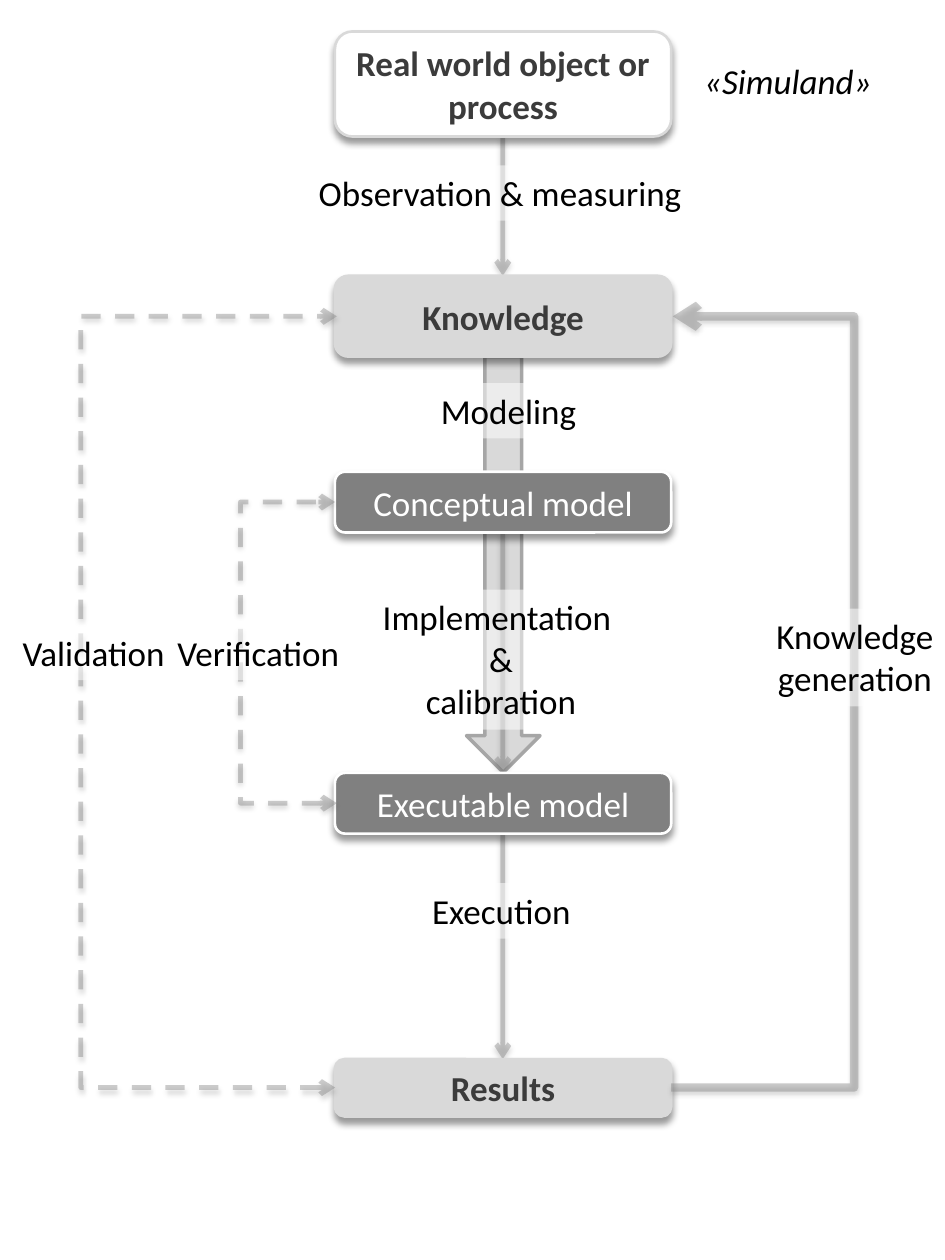
from lxml.etree import SubElement
from pptx import Presentation
from pptx.dml.color import RGBColor
from pptx.enum.dml import MSO_LINE
from pptx.enum.shapes import MSO_CONNECTOR, MSO_SHAPE
from pptx.enum.text import MSO_ANCHOR, MSO_AUTO_SIZE, PP_ALIGN
from pptx.oxml.ns import qn
from pptx.util import Pt

WHITE = RGBColor(0xFF, 0xFF, 0xFF)
BLACK = RGBColor(0, 0, 0)
INK = RGBColor(0x3B, 0x3B, 0x3B)
PALE = RGBColor(0xD9, 0xD9, 0xD9)
MIDDLE = RGBColor(0xA6, 0xA6, 0xA6)
DARK = RGBColor(0x80, 0x80, 0x80)

# Style: fill, outline, text colour, bold
STYLES = {
    "reality": (WHITE, PALE, INK, True),
    "state": (PALE, PALE, INK, True),
    "model": (DARK, WHITE, WHITE, False),
}
BOX_LEFT, BOX_WIDTH = 191.4, 192.2
AXIS = 287.3

# Text, style, top, height
BOXES = [
    ("Real world object or process", "reality", 18, 60),
    ("Knowledge", "state", 157.6, 46.2),
    ("Conceptual model", "model", 269.6, 34.7),
    ("Executable model", "model", 441.7, 34.7),
    ("Results", "state", 605.2, 32.8),
]

# Lines of text, left, top, width, alignment, italic
LABELS = [
    (["Observation & measuring"], 175, 94.5, 223.9, PP_ALIGN.LEFT, False),
    (["Modeling"], 244.8, 218.9, 92.9, PP_ALIGN.LEFT, False),
    (["Implementation ", "&", "calibration"], 211, 337, 150.5, PP_ALIGN.CENTER, False),
    (["Execution"], 239.8, 504.7, 94.3, PP_ALIGN.LEFT, False),
    (["Validation"], 5.8, 357.1, 96.5, PP_ALIGN.LEFT, False),
    (["Verification"], 94.3, 357.1, 108, PP_ALIGN.LEFT, False),
    (["Knowledge", "generation"], 437.1, 347.8, 102.9, PP_ALIGN.CENTER, False),
    (["«Simuland»"], 395.3, 30.2, 111.6, PP_ALIGN.LEFT, True),
]

# Top and bottom of each downward arrow
STEPS = [(78, 157.6), (304.3, 441.7), (476.5, 605.2)]

# Start, end, x of the upright part, line width, dashed with two heads
LOOPS = [
    ((191.5, 621.5), (192.5, 180.8), 45, 2.75, True),
    ((192.5, 459), (191.5, 286.9), 137, 2.75, True),
    ((383.5, 621.5), (384.5, 180.8), 488.9, 4.75, False),
]


def add_alpha(color, percent):
    """Make a colour element partly transparent."""
    SubElement(color, qn("a:alpha"), val=str(percent * 1000))


def add_shadow(shape, percent, blur, distance):
    """Give the shape a soft black shadow straight below it."""
    properties = shape._element.spPr
    effects = properties.find(qn("a:effectLst"))
    if effects is None:
        effects = SubElement(properties, qn("a:effectLst"))
    shadow = SubElement(effects, qn("a:outerShdw"), blurRad=str(Pt(blur)),
                        dist=str(Pt(distance)), dir="5400000", rotWithShape="0")
    add_alpha(SubElement(shadow, qn("a:srgbClr"), val="000000"), percent)


def write_text(frame, lines, color=BLACK, bold=False, italic=False,
               align=PP_ALIGN.CENTER, wrap=True, anchor=MSO_ANCHOR.MIDDLE):
    """Write one paragraph per line with a common format."""
    frame.word_wrap = wrap
    frame.vertical_anchor = anchor
    frame.text = "\n".join(lines)
    for paragraph in frame.paragraphs:
        paragraph.alignment = align
        for run in paragraph.runs:
            font = run.font
            font.name, font.size = "Calibri", Pt(20)
            font.bold, font.italic = bold, italic
            font.color.rgb = color


def add_block(slide, kind, left, top, width, height, fill, outline, weight):
    """Add a filled and outlined preset shape without a shadow."""
    block = slide.shapes.add_shape(kind, Pt(left), Pt(top), Pt(width), Pt(height))
    block.shadow.inherit = False
    block.fill.solid()
    block.fill.fore_color.rgb = fill
    block.line.color.rgb = outline
    block.line.width = Pt(weight)
    return block


def add_arrow(slide, kind, start, end, weight=2.75, dashed=False):
    """Add a translucent connector with an open head at its end."""
    arrow = slide.shapes.add_connector(kind, *(Pt(v) for v in (*start, *end)))
    arrow.line.color.rgb = DARK
    arrow.line.width = Pt(weight)
    if dashed:
        arrow.line.dash_style = MSO_LINE.DASH
    outline = arrow.line._get_or_add_ln()
    add_alpha(outline.find(".//" + qn("a:srgbClr")), 40)
    for tag in ["a:headEnd", "a:tailEnd"] if dashed else ["a:tailEnd"]:
        SubElement(outline, qn(tag), type="arrow")
    add_shadow(arrow, 38, 3.1, 1.6)
    return arrow


def add_loop(slide, start, end, upright, weight, dashed):
    """Add an elbow arrow whose upright part lies at a given x."""
    loop = add_arrow(slide, MSO_CONNECTOR.ELBOW, start, end, weight, dashed)
    bend = round((upright - start[0]) / (end[0] - start[0]) * 100000)
    guides = loop._element.spPr.find(qn("a:prstGeom")).find(qn("a:avLst"))
    SubElement(guides, qn("a:gd"), name="adj1", fmla=f"val {bend}")


def add_box(slide, text, style, top, height):
    """Add a rounded stage of the simulation process."""
    fill, outline, color, bold = STYLES[style]
    box = add_block(slide, MSO_SHAPE.ROUNDED_RECTANGLE, BOX_LEFT, top,
                    BOX_WIDTH, height, fill, outline, 1.5)
    add_shadow(box, 40, 4, 3)
    write_text(box.text_frame, [text], color=color, bold=bold)


def add_label(slide, lines, left, top, width, align, italic):
    """Add a caption on a half transparent white ground."""
    height = 7.4 + 24.2 * len(lines)
    label = slide.shapes.add_textbox(Pt(left), Pt(top), Pt(width), Pt(height))
    label.fill.solid()
    label.fill.fore_color.rgb = WHITE
    add_alpha(label._element.spPr.find(".//" + qn("a:srgbClr")), 52)
    frame = label.text_frame
    write_text(frame, lines, italic=italic, align=align,
               wrap=False, anchor=MSO_ANCHOR.TOP)
    frame.auto_size = MSO_AUTO_SIZE.SHAPE_TO_FIT_TEXT
    if align == PP_ALIGN.CENTER:
        frame.margin_left = frame.margin_right = Pt(3)


def main():
    """Build the slide."""
    deck = Presentation()
    deck.slide_width, deck.slide_height = Pt(540), Pt(720)
    slide = deck.slides.add_slide(deck.slide_layouts[6])
    add_block(slide, MSO_SHAPE.DOWN_ARROW, 266.6, 203.8, 42, 237.6, PALE, MIDDLE, 2)
    for top, bottom in STEPS:
        add_arrow(slide, MSO_CONNECTOR.STRAIGHT, (AXIS, top), (AXIS, bottom))
    for box in BOXES:
        add_box(slide, *box)
    for loop in LOOPS:
        add_loop(slide, *loop)
    for label in LABELS:
        add_label(slide, *label)
    deck.save("out.pptx")


main()
